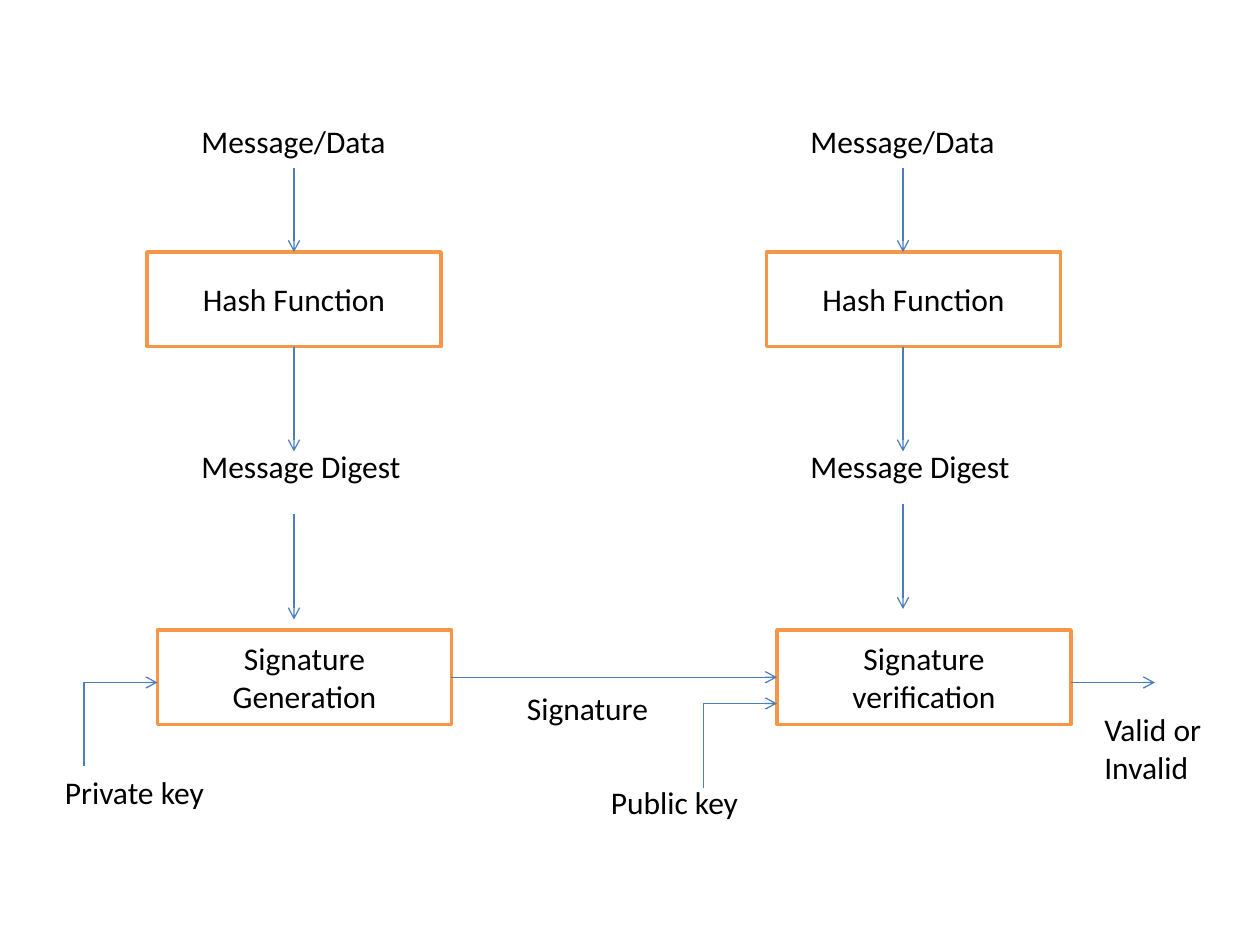
from dataclasses import dataclass

from lxml import etree
from pptx import Presentation
from pptx.dml.color import RGBColor
from pptx.enum import shapes, text
from pptx.oxml import ns
from pptx.util import Inches, Pt


@dataclass(frozen=True)
class Theme:
    font: str = "Calibri"
    size: float = 18
    ink: str = "000000"
    paper: str = "FFFFFF"
    box_line: str = "F79646"
    box_width: float = 2
    arrow: str = "4B7EBC"
    arrow_width: float = 0.75


theme = Theme()
COLS, ROWS = 120, 90
TOP, LEFT, BOTTOM, RIGHT = range(4)
BOX_W, BOX_H = 28, 9

prs = Presentation()
prs.slide_width, prs.slide_height = Inches(10), Inches(7.5)
cell_w, cell_h = prs.slide_width / COLS, prs.slide_height / ROWS
s = prs.slides.add_slide(prs.slide_layouts[6])


def add_text(words, col, row, cols, rows, boxed=False):
    """Add a label, or an outlined box with centred text, placed in grid cells."""
    place = (round(col * cell_w), round(row * cell_h),
             round(cols * cell_w), round(rows * cell_h))
    if boxed:
        sp = s.shapes.add_shape(shapes.MSO_SHAPE.RECTANGLE, *place)
        sp.shadow.inherit = False
        sp.fill.solid()
        sp.fill.fore_color.rgb = RGBColor.from_string(theme.paper)
        sp.line.color.rgb = RGBColor.from_string(theme.box_line)
        sp.line.width = Pt(theme.box_width)
    else:
        sp = s.shapes.add_textbox(*place)
    tf = sp.text_frame
    tf.word_wrap = True
    tf.vertical_anchor = text.MSO_ANCHOR.MIDDLE if boxed else text.MSO_ANCHOR.TOP
    if not boxed:
        tf.auto_size = text.MSO_AUTO_SIZE.SHAPE_TO_FIT_TEXT
    p = tf.paragraphs[0]
    p.alignment = text.PP_ALIGN.CENTER if boxed else text.PP_ALIGN.LEFT
    r = p.add_run()
    r.text = words
    r.font.name, r.font.size = theme.font, Pt(theme.size)
    r.font.color.rgb = RGBColor.from_string(theme.ink)
    return sp


def add_line(start, end, head=True, begin=None, finish=None):
    """Draw a line between grid points; begin and finish are (shape, side) joints."""
    c = s.shapes.add_connector(
        shapes.MSO_CONNECTOR.STRAIGHT,
        round(start[0] * cell_w), round(start[1] * cell_h),
        round(end[0] * cell_w), round(end[1] * cell_h))
    if begin:
        c.begin_connect(*begin)
    if finish:
        c.end_connect(*finish)
    c.line.color.rgb = RGBColor.from_string(theme.arrow)
    c.line.width = Pt(theme.arrow_width)
    if head:
        etree.SubElement(c.line._get_or_add_ln(), ns.qn("a:tailEnd"), type="arrow")
    etree.SubElement(c._element.spPr, ns.qn("a:effectLst"))


# Both sides: message -> hash function -> digest -> signature step
sides = [
    # label col, hash col, signature col, arrow col, digest arrow row, step
    (18, 14, 15, 28, 49, "Signature Generation"),
    (76, 73, 74, 86, 48, "Signature verification"),
]
steps = []
for label_col, hash_col, step_col, axis, digest_row, step in sides:
    add_text("Message/Data", label_col, 11, 32, 5)
    hash_box = add_text("Hash Function", hash_col, 24, BOX_W, BOX_H, boxed=True)
    add_text("Message Digest", label_col, 42, 22, 4.8)
    steps.append(add_text(step, step_col, 60, BOX_W, BOX_H, boxed=True))

    centred = axis == hash_col + BOX_W / 2
    add_line((axis, 16), (axis, 24), finish=(hash_box, TOP) if centred else None)
    add_line((axis, 33), (axis, 43), begin=(hash_box, BOTTOM) if centred else None)
    add_line((axis, digest_row), (axis, digest_row + 10))

# Signature passed from generation to verification
generation, verification = steps
add_line((43, 64.5), (74, 64.5), begin=(generation, RIGHT), finish=(verification, LEFT))
add_text("Signature", 49, 65, 22, 4.8)

# Keys rise from their labels and turn into the signature boxes
keys = [
    # key, label col, label row, bend col, bend row, box col
    ("Private key", 5, 73, 8, 65, 15),
    ("Public key", 57, 74, 67, 67, 74),
]
for key, label_col, label_row, bend_col, bend_row, box_col in keys:
    add_text(key, label_col, label_row, 17, 4.8)
    add_line((bend_col, bend_row), (bend_col, bend_row + 8), head=False)
    add_line((bend_col, bend_row), (box_col, bend_row))

# Outcome
add_line((102, 65), (110, 65))
add_text("Valid or Invalid", 104, 67, 13, 8.5)

prs.save("out.pptx")
